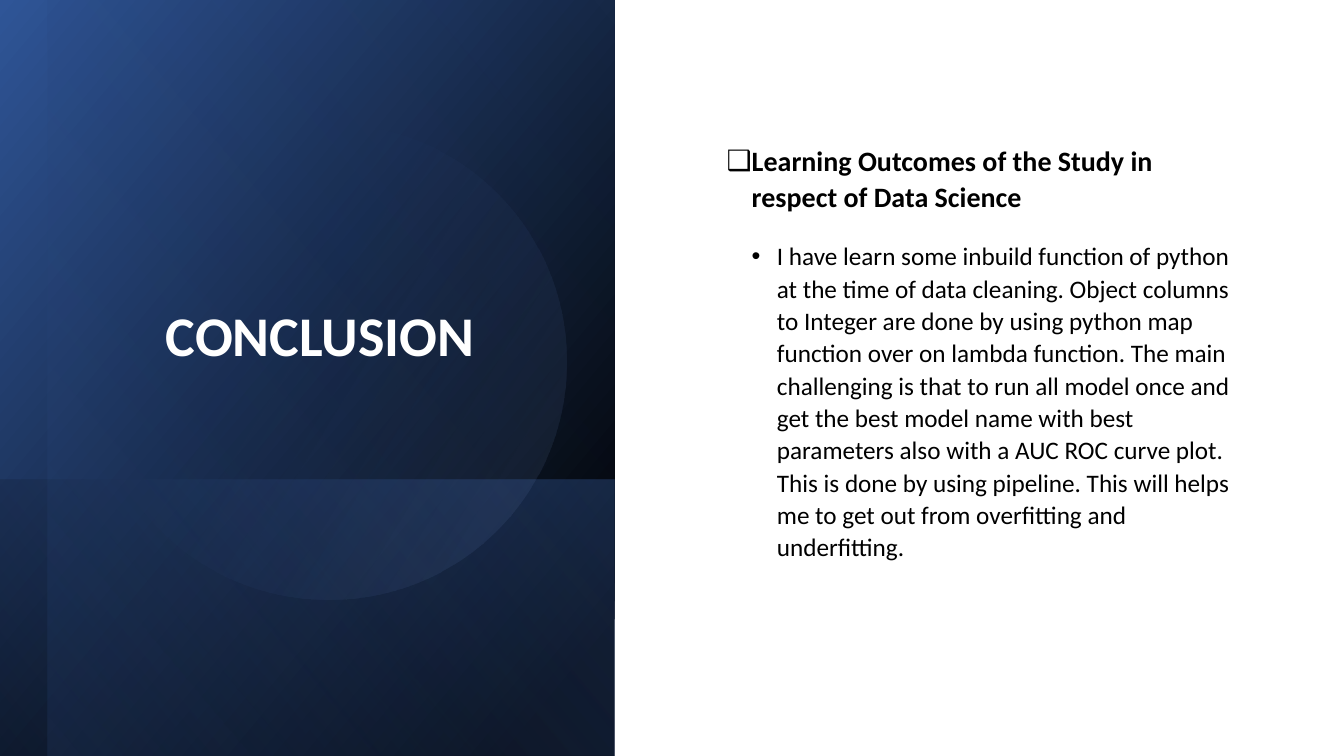
from lxml.etree import SubElement
from pptx import Presentation
from pptx.dml.color import RGBColor
from pptx.enum.shapes import MSO_SHAPE
from pptx.enum.text import MSO_ANCHOR, PP_ALIGN
from pptx.oxml.ns import qn
from pptx.util import Cm, Pt

BLACK = RGBColor(0x00, 0x00, 0x00)
WHITE = RGBColor(0xFF, 0xFF, 0xFF)
NAVY = RGBColor(0x2F, 0x55, 0x97)
BLUE = RGBColor(0x44, 0x72, 0xC4)
PALE = RGBColor(0x8F, 0xAA, 0xDC)
FONT = "Calibri"
HEAD = "Learning Outcomes of the Study in respect of Data Science"
BODY = (
    "I have learn some inbuild function of python at the time of data cleaning. "
    "Object columns to Integer are done by using python map function over on "
    "lambda function. The main challenging is that to run all model once and get "
    "the best model name with best parameters also with a AUC ROC curve plot. "
    "This is done by using pipeline. This will helps me to get out from "
    "overfitting and underfitting."
)


def shade(shape, stops, angle):
    """Fill a shape with a linear gradient of (place, colour, opacity) stops."""
    shape.fill.background()
    props = shape.element.spPr
    old = props.find(qn("a:noFill"))
    grad = SubElement(props, qn("a:gradFill"), rotWithShape="1")
    props.replace(old, grad)
    group = SubElement(grad, qn("a:gsLst"))
    for place, color, alpha in stops:
        stop = SubElement(group, qn("a:gs"), pos=str(place * 1000))
        tint = SubElement(stop, qn("a:srgbClr"), val=str(color))
        SubElement(tint, qn("a:alpha"), val=str(alpha * 1000))
    SubElement(grad, qn("a:lin"), ang=str(angle * 60000), scaled="0")


def layer(slide, kind, box, turn, flip, stops, angle):
    """Add a turned gradient shape that covers the given box."""
    left, top, wide, high = box
    shift = (wide - high) / 2
    shape = slide.shapes.add_shape(
        kind, Cm(left + shift), Cm(top - shift), Cm(high), Cm(wide))
    shape.rotation = turn
    if flip:
        shape.element.spPr.xfrm.set("flipH", "1")
    shape.shadow.inherit = False
    shape.line.fill.background()
    shade(shape, stops, angle)


def style(para, size, color, bold):
    """Format the runs of a paragraph."""
    for run in para.runs:
        run.font.name = FONT
        run.font.size = Pt(size)
        run.font.bold = bold
        run.font.color.rgb = color


def panel(slide, box):
    """Draw the dark panel with its glow layers and the title."""
    left, top, wide, high = box
    rect = MSO_SHAPE.RECTANGLE
    layer(slide, rect, box, 90, True,
          [(8, BLACK, 100), (100, NAVY, 100)], 50)
    layer(slide, rect, (left, top + 12.09, wide, high - 12.09), 90, True,
          [(2, BLUE, 29), (100, BLACK, 30)], 130)
    layer(slide, rect, (left + 1.2, top, wide - 1.2, high), 90, True,
          [(0, BLACK, 0), (99, BLUE, 11)], 130)
    layer(slide, MSO_SHAPE.OVAL, (left + 2.29, top + 3.12, 11.99, 11.99),
          101.6, False, [(39, BLUE, 0), (100, PALE, 15)], 290)

    title = slide.shapes.title
    slide.shapes.element.append(title.element)
    title.left, title.top = Cm(left + 2.29), Cm(top + 1.63)
    title.width, title.height = Cm(11.76), Cm(9.4)
    frame = title.text_frame
    frame.text = "CONCLUSION"
    frame.word_wrap = True
    frame.vertical_anchor = MSO_ANCHOR.BOTTOM
    frame.margin_right, frame.margin_bottom = Cm(0.46), Cm(1.75)
    para = frame.paragraphs[0]
    para.alignment = PP_ALIGN.CENTER
    para.line_spacing = 0.9
    style(para, 40, WHITE, True)


def notes(slide, box):
    """Write the bulleted outcomes inside the given box."""
    frame = slide.shapes.add_textbox(*map(Cm, box)).text_frame
    frame.word_wrap = True
    frame.vertical_anchor = MSO_ANCHOR.MIDDLE
    frame.margin_bottom = Cm(1.42)
    frame.text = HEAD
    frame.add_paragraph().text = BODY
    looks = [("❑", 20, True), ("•", 18, False)]
    for level, (para, look) in enumerate(zip(frame.paragraphs, looks), 1):
        mark, size, bold = look
        para.line_spacing = 1.07
        para.space_before, para.space_after = Pt(10), Pt(8)
        style(para, size, BLACK, bold)
        props = para._p.get_or_add_pPr()
        props.set("marL", str(Cm(0.635 * level)))
        props.set("indent", str(-Cm(0.635)))
        SubElement(props, qn("a:buFont"), typeface="Arial")
        SubElement(props, qn("a:buChar"), char=mark)


def main():
    """Build the slide and save it."""
    deck = Presentation()
    deck.slide_width, deck.slide_height = Cm(33.87), Cm(19.05)
    slide = deck.slides.add_slide(deck.slide_layouts[5])
    panel(slide, (0, 0, 15.49, 19.05))
    notes(slide, (18.06, 1.8, 13.51, 15.42))
    deck.save("out.pptx")


if __name__ == "__main__":
    main()
